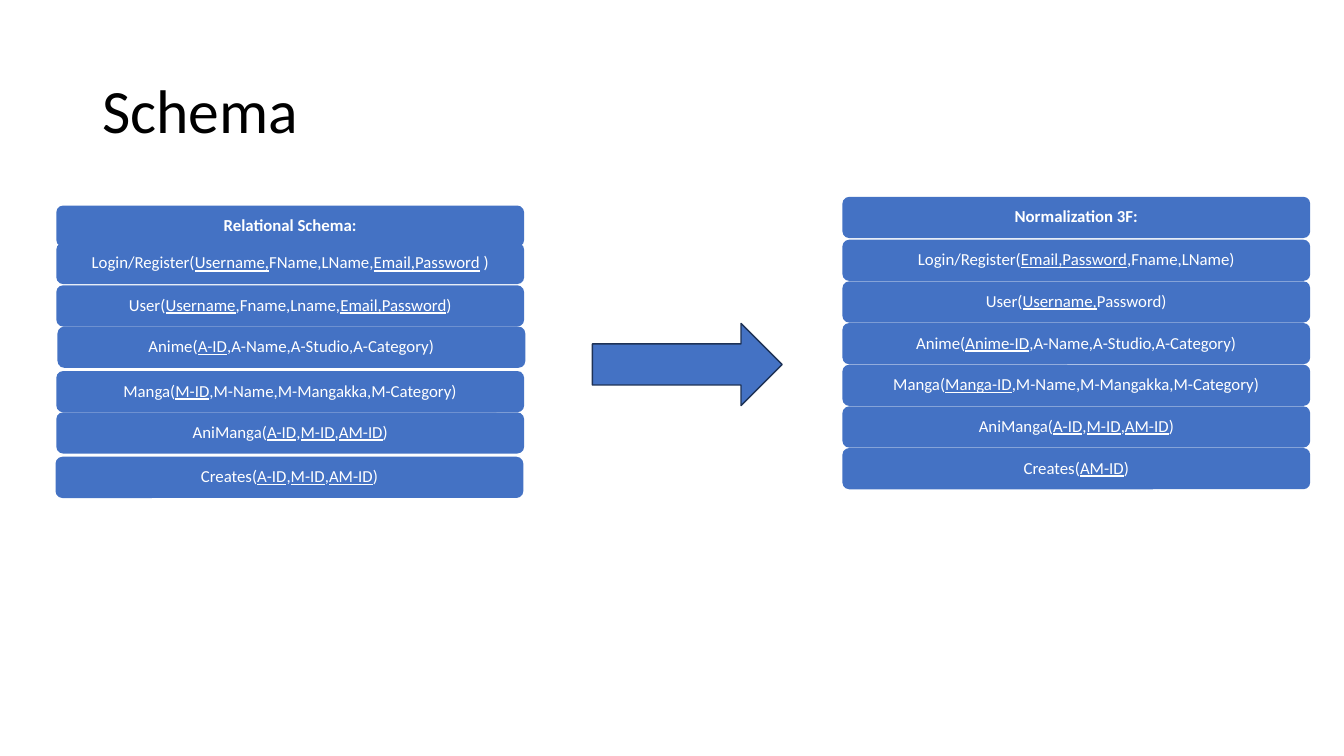
from pptx import Presentation
from pptx.dml.color import RGBColor
from pptx.enum.shapes import MSO_SHAPE
from pptx.enum.text import MSO_ANCHOR, PP_ALIGN
from pptx.util import Cm, Pt

ROUNDED = MSO_SHAPE.ROUNDED_RECTANGLE
RIGHT_ARROW = MSO_SHAPE.RIGHT_ARROW
MIDDLE = MSO_ANCHOR.MIDDLE
LEFT, CENTER = PP_ALIGN.LEFT, PP_ALIGN.CENTER

BLUE, NAVY, WHITE, BLACK = "4472C4", "1E3256", "FFFFFF", "000000"
ROW_WIDTH, ROW_HEIGHT = 11.79, 1.04
RIGHT_LEFT, RIGHT_TOP, RIGHT_PITCH = 21.23, 6.04, 1.05

# Attributes between underscores are keys and are underlined.
RELATIONAL_SCHEMA = [
    (1.42, 6.12, "Login/Register(_Username,_FName,LName,_Email,Password_ )"),
    (1.42, 7.19, "User(_Username_,Fname,Lname,_Email,Password_)"),
    (1.45, 8.23, "Anime(_A-ID_,A-Name,A-Studio,A-Category)"),
    (1.42, 9.35, "Manga(_M-ID_,M-Name,M-Mangakka,M-Category)"),
    (1.42, 10.39, "AniManga(_A-ID_,_M-ID_,_AM-ID_)"),
    (1.4, 11.51, "Creates(_A-ID_,_M-ID_,_AM-ID_)"),
]
NORMALIZED_SCHEMA = [
    "Login/Register(_Email,Password_,Fname,LName)",
    "User(_Username,_Password)",
    "Anime(_Anime-ID_,A-Name,A-Studio,A-Category)",
    "Manga(_Manga-ID_,M-Name,M-Mangakka,M-Category)",
    "AniManga(_A-ID_,_M-ID_,_AM-ID_)",
    "Creates(_AM-ID_)",
]


def color(hex_string):
    return RGBColor.from_string(hex_string)


def apply_format(target, values):
    for name, value in values.items():
        setattr(target, name, value)


class SchemaSlide:
    font_name = "Calibri"
    row_margins = {"margin_left": Cm(0.13), "margin_right": Cm(0.13),
                   "margin_top": Cm(0.08), "margin_bottom": Cm(0.08)}

    def __init__(self, presentation):
        self.slide = presentation.slides.add_slide(presentation.slide_layouts[6])

    def add_text(self, shape, text, size, text_color, alignment, bold=False):
        """Fill the shape with text, underlining the parts between underscores."""
        frame = shape.text_frame
        apply_format(frame, {"word_wrap": True, "vertical_anchor": MIDDLE})
        paragraph = frame.paragraphs[0]
        apply_format(paragraph, {"alignment": alignment, "line_spacing": 0.9})
        for index, part in enumerate(text.split("_")):
            run = paragraph.add_run()
            run.text = part
            apply_format(run.font, {"name": self.font_name, "size": Pt(size),
                                    "bold": bold, "underline": index % 2 == 1})
            run.font.color.rgb = color(text_color)

    def title(self, text, left, top, width, height):
        box = self.slide.shapes.add_textbox(Cm(left), Cm(top), Cm(width), Cm(height))
        self.add_text(box, text, 44, BLACK, LEFT)

    def block(self, kind, left, top, width, height, line=None):
        shape = self.slide.shapes.add_shape(
            kind, Cm(left), Cm(top), Cm(width), Cm(height))
        shape.shadow.inherit = False
        shape.fill.solid()
        shape.fill.fore_color.rgb = color(BLUE)
        if line:
            shape.line.color.rgb = color(line)
            shape.line.width = Pt(1)
        else:
            shape.line.fill.background()
        return shape

    def row(self, text, left, top, bold=False):
        shape = self.block(ROUNDED, left, top, ROW_WIDTH, ROW_HEIGHT)
        apply_format(shape.text_frame, self.row_margins)
        self.add_text(shape, text, 12, WHITE, CENTER, bold)


def main():
    presentation = Presentation()
    apply_format(presentation, {"slide_width": Cm(33.87), "slide_height": Cm(19.05)})
    schema = SchemaSlide(presentation)
    schema.title("Schema", 2.33, 1.01, 29.21, 3.68)

    schema.row("Relational Schema:", 1.42, 5.18, bold=True)
    for left, top, relation in RELATIONAL_SCHEMA:
        schema.row(relation, left, top)

    schema.row("Normalization 3F:", RIGHT_LEFT, 4.96, bold=True)
    for index, relation in enumerate(NORMALIZED_SCHEMA):
        schema.row(relation, RIGHT_LEFT, RIGHT_TOP + index * RIGHT_PITCH)

    schema.block(RIGHT_ARROW, 14.93, 8.15, 4.78, 2.07, line=NAVY)
    presentation.save("out.pptx")


if __name__ == "__main__":
    main()
